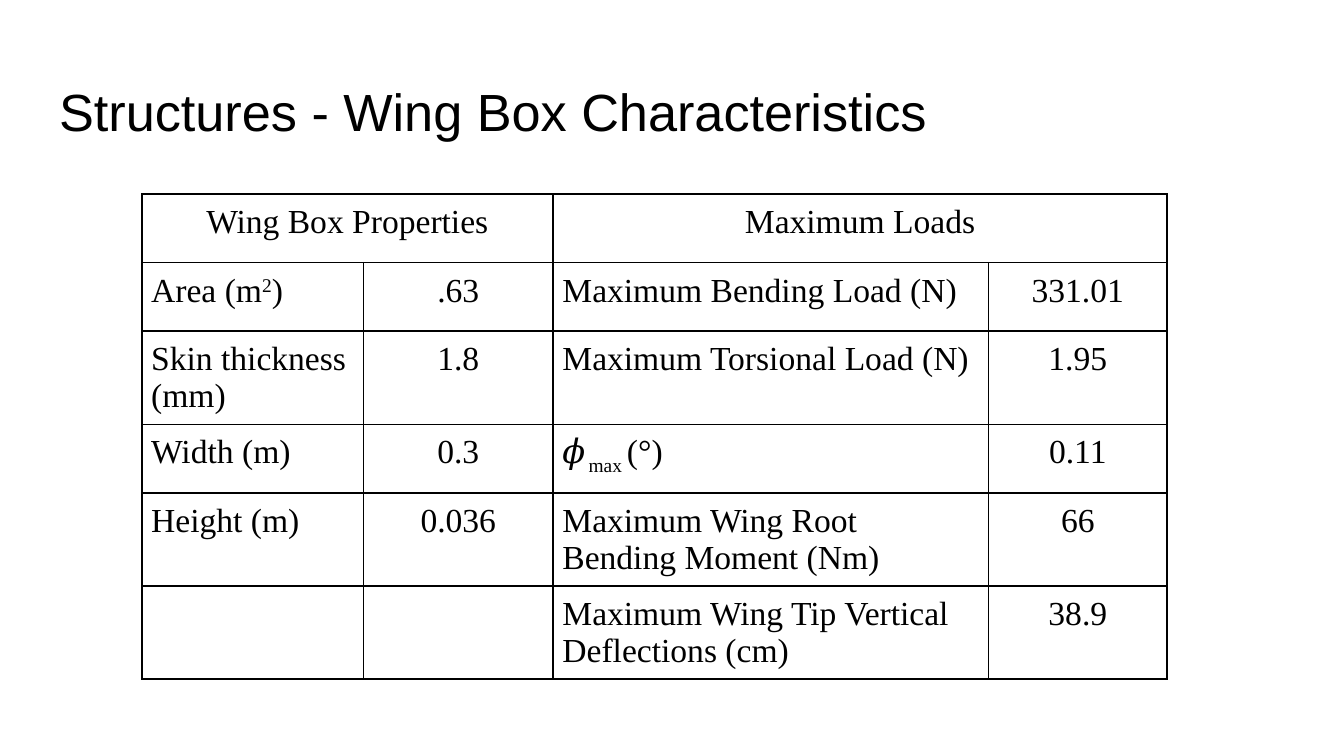
"""Build the wing box characteristics slide."""
from dataclasses import dataclass
from typing import Any, NamedTuple

from lxml import etree
from pptx import Presentation
from pptx import util as u
from pptx.dml.color import RGBColor
from pptx.enum import text
from pptx.oxml.ns import qn

SCALE = 4572


@dataclass(frozen=True)
class Theme:
    ink: str = "000000"
    title_font: str = "Arial"
    title_size: int = 28
    table_font: str = "Times New Roman"
    table_size: int = 18
    border_width: int = 1


class Piece(NamedTuple):
    words: str
    baseline: int = 0


class Box(NamedTuple):
    left: int
    top: int
    width: int
    height: int


class Load(NamedTuple):
    label: list[Piece]
    value: str


THEME = Theme()
PAGE = (2000, 1125)
TITLE_BOX = Box(68, 98, 1864, 126)
TABLE_BOX = Box(211, 289, 1526, 750)
COLUMNS = (330, 282, 648, 266)
ROW_HEIGHT = 102
TITLE_INSET, CELL_INSET = 20, 14

PROPERTIES = [
    Load([Piece("Area (m"), Piece("2", 30), Piece(")")], ".63"),
    Load([Piece("Skin thickness (mm)")], "1.8"),
    Load([Piece("Width (m)")], "0.3"),
    Load([Piece("Height (m)")], "0.036"),
]
LOADS = [
    Load([Piece("Maximum Bending Load (N)")], "331.01"),
    Load([Piece("Maximum Torsional Load (N)")], "1.95"),
    Load([Piece("𝜙"), Piece("max ", -25), Piece("(°)")], "0.11"),
    Load([Piece("Maximum Wing Root Bending Moment (Nm)")], "66"),
    Load([Piece("Maximum Wing Tip Vertical Deflections (cm)")], "38.9"),
]


def px(length: int) -> u.Emu:
    return u.Emu(length * SCALE)


def apply(target: Any, values: dict[str, Any]) -> None:
    for name, value in values.items():
        setattr(target, name, value)


def insets(length: int) -> dict[str, u.Emu]:
    return {f"margin_{side}": px(length) for side in ("left", "top", "right", "bottom")}


def write(paragraph: Any, pieces: list[Piece], font: str, size: int,
          align: text.PP_ALIGN) -> None:
    paragraph.alignment = align
    for piece in pieces:
        run = paragraph.add_run()
        run.text = piece.words
        apply(run.font, {"name": font, "size": u.Pt(size), "bold": False})
        run.font.color.rgb = RGBColor.from_string(THEME.ink)
        if piece.baseline:
            run.font._element.set("baseline", str(piece.baseline * 1000))


def outline(cell: Any) -> None:
    properties = cell._tc.get_or_add_tcPr()
    for place, side in enumerate(("lnL", "lnR", "lnT", "lnB")):
        border = etree.Element(qn(f"a:{side}"), w=str(u.Pt(THEME.border_width)))
        fill = etree.SubElement(border, qn("a:solidFill"))
        etree.SubElement(fill, qn("a:srgbClr"), val=THEME.ink)
        properties.insert(place, border)


def fill_cell(cell: Any, pieces: list[Piece], centred: bool) -> None:
    align = text.PP_ALIGN.CENTER if centred else text.PP_ALIGN.LEFT
    write(cell.text_frame.paragraphs[0], pieces, THEME.table_font, THEME.table_size, align)


def draw_title(slide: Any) -> None:
    title = slide.shapes.title
    apply(title, {name: px(length) for name, length in TITLE_BOX._asdict().items()})
    apply(title.text_frame, insets(TITLE_INSET) | {
        "word_wrap": True,
        "auto_size": text.MSO_AUTO_SIZE.NONE,
        "vertical_anchor": text.MSO_ANCHOR.TOP,
    })
    write(title.text_frame.paragraphs[0], [Piece("Structures - Wing Box Characteristics")],
          THEME.title_font, THEME.title_size, text.PP_ALIGN.LEFT)


def draw_table(slide: Any) -> None:
    frame = slide.shapes.add_table(len(LOADS) + 1, len(COLUMNS), *map(px, TABLE_BOX))
    characteristics = frame.table
    apply(characteristics, {"first_row": False, "horz_banding": False})
    for column, width in zip(characteristics.columns, COLUMNS):
        column.width = px(width)
    for row in characteristics.rows:
        row.height = px(ROW_HEIGHT)
    frame.height = px(TABLE_BOX.height)
    for cell in characteristics.iter_cells():
        apply(cell, insets(CELL_INSET))
        cell.fill.background()
        outline(cell)
    groups = {"Wing Box Properties": PROPERTIES, "Maximum Loads": LOADS}
    for group, (heading, entries) in enumerate(groups.items()):
        left = group * 2
        header = characteristics.cell(0, left)
        header.merge(characteristics.cell(0, left + 1))
        fill_cell(header, [Piece(heading)], True)
        for row, entry in enumerate(entries, 1):
            fill_cell(characteristics.cell(row, left), entry.label, False)
            fill_cell(characteristics.cell(row, left + 1), [Piece(entry.value)], True)


def main() -> None:
    deck = Presentation()
    apply(deck, dict(zip(("slide_width", "slide_height"), map(px, PAGE))))
    slide = deck.slides.add_slide(deck.slide_layouts.get_by_name("Title Only"))
    draw_title(slide)
    draw_table(slide)
    deck.save("out.pptx")


if __name__ == "__main__":
    main()
